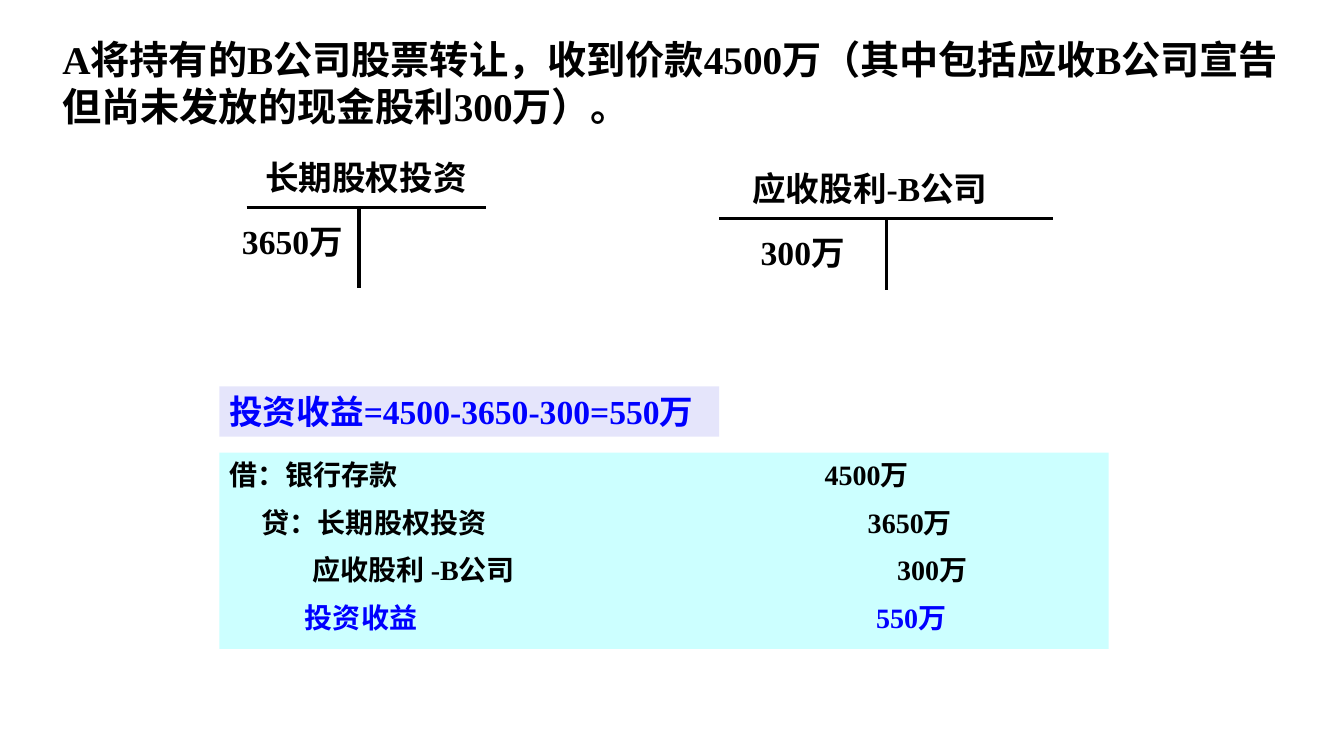
from dataclasses import dataclass

from pptx import Presentation
from pptx.dml.color import RGBColor
from pptx.enum.shapes import MSO_CONNECTOR, MSO_SHAPE
from pptx.enum.text import PP_ALIGN, MSO_ANCHOR
from pptx.oxml.ns import qn
from pptx.util import Pt
from lxml.etree import SubElement

PX = 9525  # EMU in one px, 96 px to the inch


@dataclass(frozen=True)
class Theme:
    font: str = "Times New Roman"
    ink: str = "000000"
    accent: str = "0000FF"
    lilac: str = "E5E5FB"
    aqua: str = "CCFFFF"
    title: int = 28
    body: int = 24
    entry: int = 20
    line: float = 2.25


class Deck:
    def __init__(self, theme, width, height):
        self.theme = theme
        self.prs = Presentation()
        self.prs.slide_width, self.prs.slide_height = width * PX, height * PX
        self.s = self.prs.slides.add_slide(self.prs.slide_layouts[6])

    def style(self, p, size, color):
        p.alignment = PP_ALIGN.LEFT
        for r in p.runs:
            r.font.name, r.font.size, r.font.bold = self.theme.font, Pt(size), True
            r.font.color.rgb = RGBColor.from_string(color)

    def text(self, x, y, w, h, text, size):
        tf = self.s.shapes.add_textbox(*(v * PX for v in (x, y, w, h))).text_frame
        tf.word_wrap = True
        tf.text = text
        self.style(tf.paragraphs[0], size, self.theme.ink)

    def panel(self, x, y, w, h, fill):
        """Add a plain filled box and return its text frame."""
        sp = self.s.shapes.add_shape(MSO_SHAPE.RECTANGLE, *(v * PX for v in (x, y, w, h)))
        sp.shadow.inherit = False
        sp.fill.solid()
        sp.fill.fore_color.rgb = RGBColor.from_string(fill)
        sp.line.fill.background()
        tf = sp.text_frame
        tf.word_wrap = True
        tf.vertical_anchor = MSO_ANCHOR.TOP
        return tf

    def formula(self, x, y, w, h, text):
        tf = self.panel(x, y, w, h, self.theme.lilac)
        tf.text = text
        self.style(tf.paragraphs[0], self.theme.body, self.theme.accent)

    def journal(self, x, y, w, h, entries):
        """Each entry is (indent, account, amount position, amount, colour)."""
        tf = self.panel(x, y, w, h, self.theme.aqua)
        for i, (indent, account, stop, amount, color) in enumerate(entries):
            p = tf.add_paragraph() if i else tf.paragraphs[0]
            p.text = ("\t" if indent else "") + f"{account}\t{amount}"
            if i:
                p.space_before = Pt(10)
            tabs = SubElement(p._p.get_or_add_pPr(), qn("a:tabLst"))
            for pos in filter(None, (indent, stop)):
                SubElement(tabs, qn("a:tab"), pos=str(pos * PX), algn="l")
            self.style(p, self.theme.entry, color)

    def line(self, x1, y1, x2, y2):
        c = self.s.shapes.add_connector(MSO_CONNECTOR.STRAIGHT, *(v * PX for v in (x1, y1, x2, y2)))
        c.line.color.rgb = RGBColor.from_string(self.theme.ink)
        c.line.width = Pt(self.theme.line)
        SubElement(c._element.spPr, qn("a:effectLst"))

    def t_account(self, left, right, y, stem, bottom, name_x, name, value_x, value):
        self.text(name_x, y - 53, 330, 48, name, self.theme.body)
        self.line(left, y, right, y)
        self.line(stem, y, stem, bottom)
        self.text(value_x, y + 8, 121, 48, value, self.theme.body)


def main():
    t = Theme()
    deck = Deck(t, 1280, 720)
    deck.text(50, 29, 1194, 100,
              "A将持有的B公司股票转让，收到价款4500万（其中包括应收B公司宣告但尚未发放的现金股利300万）。",
              t.title)
    deck.t_account(235, 463, 198, 342, 274, 243, "长期股权投资", 221, "3650万")
    deck.t_account(685, 1003, 208, 844, 276, 707, "应收股利-B公司", 715, "300万")
    deck.formula(209, 368, 476, 48, "投资收益=4500-3650-300=550万")
    deck.journal(209, 431, 847, 187, [
        (0, "借：银行存款", 567, "4500万", t.ink),
        (31, "贷：长期股权投资", 608, "3650万", t.ink),
        (79, "应收股利 -B公司", 636, "300万", t.ink),
        (72, "投资收益", 616, "550万", t.accent),
    ])
    deck.prs.save("out.pptx")


if __name__ == "__main__":
    main()
